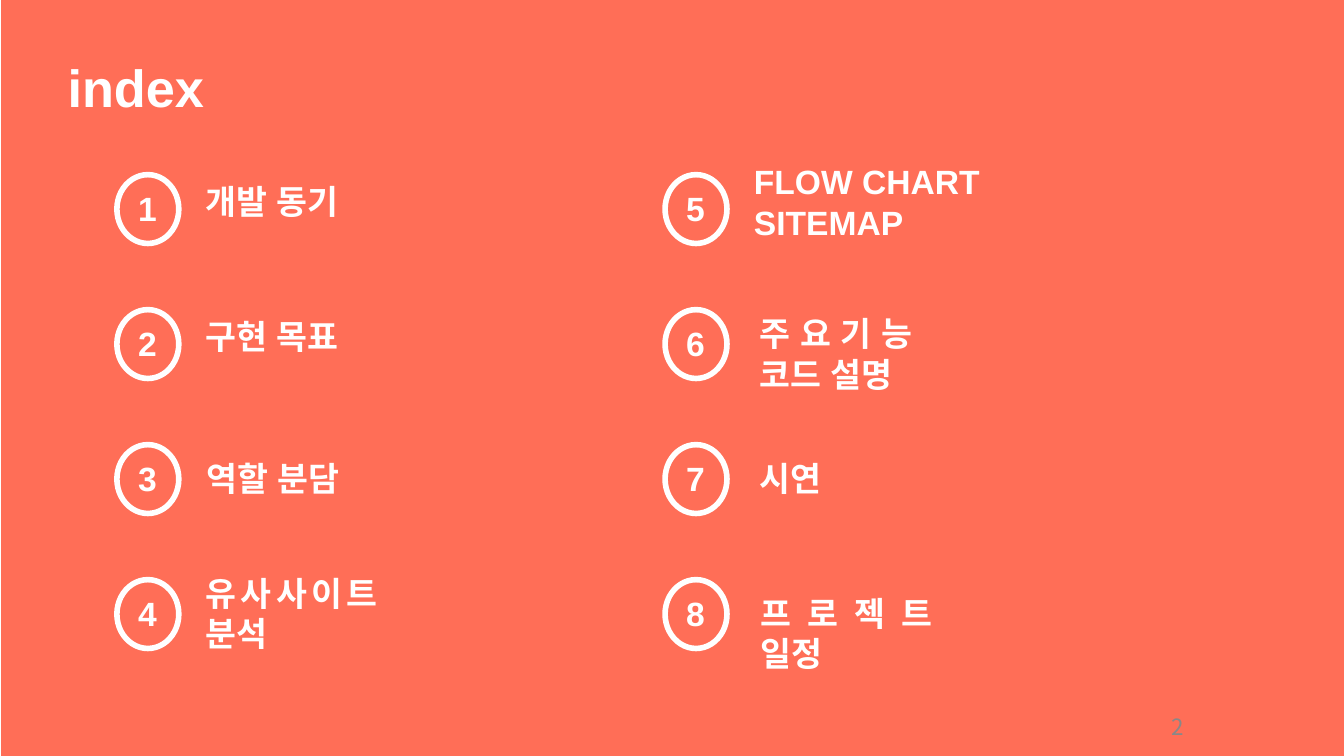
from lxml import etree
from pptx import Presentation
from pptx import util as u
from pptx.dml.color import RGBColor
from pptx.enum import shapes, text
from pptx.oxml.ns import qn

CORAL, WHITE, GREY = "FF6E57", "FFFFFF", "888888"
LATIN, KOREAN = "Arial", "Noto Sans CJK KR"
SLIDE_W, SLIDE_H = 25.4, 14.28

ITEMS = [
    (["개발 동기"], 3.63, 3.3, 3.76, 1.02),
    (["구현 목표"], 3.63, 5.84, 3.76, 1.02),
    (["역할 분담"], 3.66, 8.53, 3.76, 1.02),
    (["유사사이트분석"], 3.63, 10.69, 3.76, 1.8),
    (["FLOW CHART", "SITEMAP"], 14, 2.92, 7.39, 1.8),
    (["주요기능 코드 설명"], 14.1, 5.79, 3.4, 1.8),
    (["시연"], 14.1, 8.53, 3.76, 1.02),
    (["프로젝트 일정"], 14.12, 11.07, 3.76, 1.8),
]
ROWS = 4
RING_X, RING_Y, RING_W, RING_H = 2.21, 3.3, 1.17, 1.3
COL_STEP, ROW_STEP = 10.36, 2.55


def rgb(value):
    return RGBColor.from_string(value)


def box(*lengths):
    return [u.Cm(v) for v in lengths]


def write(sp, lines, size, align, color=WHITE, font=LATIN, bold=True,
          anchor=text.MSO_ANCHOR.TOP):
    tf = sp.text_frame
    tf.word_wrap = True
    tf.vertical_anchor = anchor
    for i, line in enumerate(lines):
        p = tf.add_paragraph() if i else tf.paragraphs[0]
        p.alignment = align
        r = p.add_run()
        r.text = line
        r.font.name = font
        r.font.size = u.Pt(size)
        r.font.bold = bold
        r.font.color.rgb = rgb(color)
        ea = etree.SubElement(r.font._element, qn("a:ea"))
        ea.set("typeface", font)


def add_ring(s, x, y):
    sp = s.shapes.add_shape(shapes.MSO_SHAPE.OVAL, *box(x, y, RING_W, RING_H))
    sp.shadow.inherit = False
    sp.fill.background()
    sp.line.color.rgb = rgb(WHITE)
    sp.line.width = u.Pt(3)


prs = Presentation()
prs.slide_width, prs.slide_height = box(SLIDE_W, SLIDE_H)
s = prs.slides.add_slide(prs.slide_layouts[5])

backdrop = s.shapes.add_shape(shapes.MSO_SHAPE.RECTANGLE,
                              *box(0.02, 0, SLIDE_W, SLIDE_H))
backdrop.shadow.inherit = False
backdrop.fill.solid()
backdrop.fill.fore_color.rgb = rgb(CORAL)
backdrop.line.fill.background()
s.shapes._spTree.insert(2, backdrop._element)

title = s.shapes.title
title.left, title.top, title.width, title.height = box(-0.33, 0.91, 5.79, 1.45)
title.text_frame.auto_size = text.MSO_AUTO_SIZE.NONE
write(title, ["index"], 28, text.PP_ALIGN.CENTER)

for i, (lines, x, y, w, h) in enumerate(ITEMS):
    col, row = divmod(i, ROWS)
    ring_x = RING_X + col * COL_STEP
    ring_y = RING_Y + row * ROW_STEP
    add_ring(s, ring_x, ring_y)
    number = s.shapes.add_textbox(*box(ring_x + 0.15, ring_y + 0.13, 0.88, 1.02))
    write(number, [str(i + 1)], 18, text.PP_ALIGN.JUSTIFY)
    label = s.shapes.add_textbox(*box(x, y, w, h))
    write(label, lines, 18, text.PP_ALIGN.JUSTIFY)

page = s.shapes.add_textbox(*box(16.71, 13.34, 5.92, 0.76))
write(page, ["2"], 12, text.PP_ALIGN.RIGHT, GREY, KOREAN, False,
      text.MSO_ANCHOR.MIDDLE)

prs.save("out.pptx")
